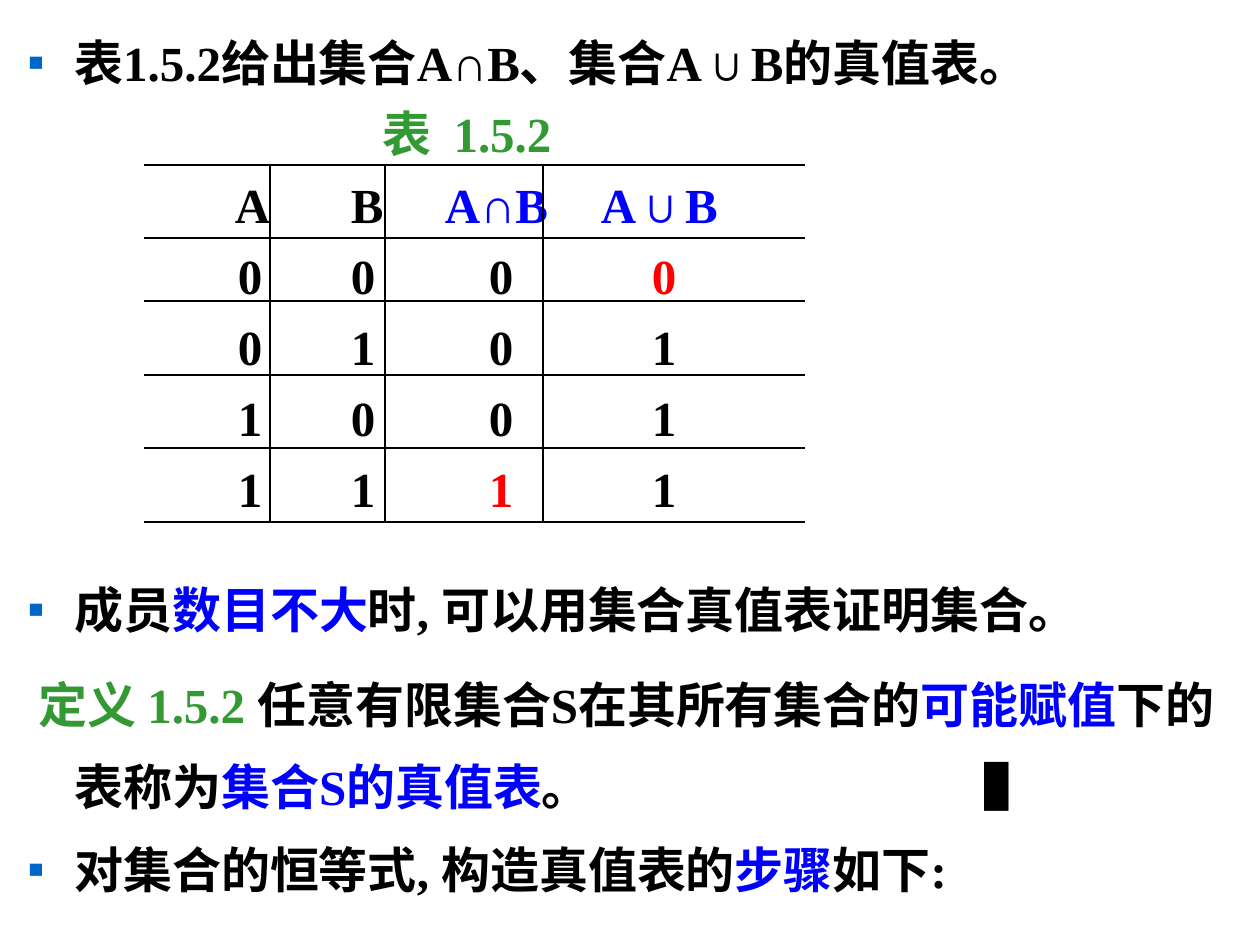
"""Build the slide on truth tables of sets."""
from dataclasses import dataclass

from lxml import etree
from pptx import Presentation
from pptx.dml.color import RGBColor
from pptx.enum.shapes import MSO_CONNECTOR
from pptx.enum.text import MSO_ANCHOR
from pptx.oxml.ns import qn
from pptx.util import Emu, Pt

BOTTOM = MSO_ANCHOR.BOTTOM
STRAIGHT = MSO_CONNECTOR.STRAIGHT
PX = 914400 // 126


@dataclass
class Theme:
    """Colours, font and sizes of the slide."""
    ink: str = "000000"
    key: str = "0000FF"
    mark: str = "FF0000"
    label: str = "339933"
    bullet: str = "0066CC"
    font: str = "Times New Roman"
    symbol: str = "Noto Sans CJK SC"
    size: int = 28
    before: int = 7
    rule: float = 1.5


def px(n):
    """Turn pixels into EMU."""
    return Emu(n * PX)


def child(parent, tag, **attrs):
    """Append an element with attributes and return it."""
    return etree.SubElement(parent, qn(tag), {k: str(v) for k, v in attrs.items()})


class Deck:
    """Draws elements on the current slide in one style."""

    def __init__(self, prs, theme):
        self.theme = theme
        self.s = prs.slides.add_slide(prs.slide_layouts[6])

    def runs(self, p, parts):
        """Add runs given as (text, colour) or (text, colour, font)."""
        for text, color, *font in parts:
            r = p.add_run()
            r.text = text
            r.font.name = font[0] if font else self.theme.font
            r.font.size = Pt(self.theme.size)
            r.font.bold = True
            r.font.color.rgb = RGBColor.from_string(color)

    def layout(self, p, left=0, first=0, bullet=False):
        """Set the indents and the bullet of a paragraph."""
        pPr = p._p.get_or_add_pPr()
        pPr.set("marL", str(px(left)))
        pPr.set("indent", str(px(first)))
        if bullet:
            child(child(pPr, "a:buClr"), "a:srgbClr", val=self.theme.bullet)
            child(pPr, "a:buFont", typeface=self.theme.font)
            child(pPr, "a:buChar", char="▪")
        else:
            child(pPr, "a:buNone")

    def text(self, x, y, w, h, paragraphs):
        """Add a text box of (layout, line spacing, parts) paragraphs."""
        tf = self.s.shapes.add_textbox(px(x), px(y), px(w), px(h)).text_frame
        tf.word_wrap = True
        for i, (layout, spacing, parts) in enumerate(paragraphs):
            p = tf.add_paragraph() if i else tf.paragraphs[0]
            self.layout(p, **layout)
            p.line_spacing = spacing
            if i:
                p.space_before = Pt(self.theme.before)
            self.runs(p, parts)

    def table(self, x, y, widths, height, rows, colors, indents):
        """Add an unfilled table with equal rows and indented values."""
        frame = self.s.shapes.add_table(len(rows), len(widths), px(x), px(y),
                                        px(sum(widths)), px(height * len(rows)))
        table = frame.table
        table.first_row = table.horz_banding = False
        for col, width in zip(table.columns, widths):
            col.width = px(width)
        for i, row in enumerate(rows):
            table.rows[i].height = px(height)
            for j, value in enumerate(row):
                cell = table.cell(i, j)
                cell.margin_left = px(indents[min(i, 1)][j])
                cell.margin_right = cell.margin_top = cell.margin_bottom = 0
                cell.vertical_anchor = BOTTOM
                cell.fill.background()
                color = colors.get((i, j), self.theme.ink)
                self.runs(cell.text_frame.paragraphs[0], [(value, color)])

    def line(self, x1, y1, x2, y2):
        """Draw a straight rule."""
        sp = self.s.shapes.add_connector(STRAIGHT, px(x1), px(y1), px(x2), px(y2))
        sp.line.color.rgb = RGBColor.from_string(self.theme.ink)
        sp.line.width = Pt(self.theme.rule)
        child(sp._element.spPr, "a:effectLst")


def main():
    """Build and save the slide."""
    prs = Presentation()
    prs.slide_width, prs.slide_height = px(1260), px(945)
    t = Theme()
    deck = Deck(prs, t)
    bullet = {"left": 47, "first": -47, "bullet": True}

    deck.text(15, 26, 1226, 71, [
        (bullet, 1.0, [("表1.5.2给出集合A∩B、集合A∪B的真值表。", t.ink)])])
    deck.text(370, 97, 260, 71, [({}, 1.0, [("表  1.5.2", t.label)])])

    pairs = [(a, b) for a in (0, 1) for b in (0, 1)]
    rows = [["A", "B", "A∩B", "A∪B"]]
    rows += [[str(v) for v in (a, b, a & b, a | b)] for a, b in pairs]
    colors = {(0, 2): t.key, (0, 3): t.key, (1, 3): t.mark, (4, 2): t.mark}
    deck.table(144, 163, [127, 115, 166, 253], 71, rows, colors,
               [(91, 80, 59, 49), (94, 80, 103, 100)])

    left, right, top, bottom = 144, 805, 165, 522
    for y in (top, 238, 301, 375, 448, bottom):
        deck.line(left, y, right, y)
    for x in (270, 385, 543):
        deck.line(x, top, x, bottom)

    deck.text(15, 556, 1221, 373, [
        (bullet, 1.3, [("成员", t.ink), ("数目不大", t.key),
                       ("时, 可以用集合真值表证明集合。", t.ink)]),
        ({"left": 47, "first": -36}, 1.4,
         [("定义 1.5.2 ", t.label), ("任意有限集合S在其所有集合的", t.ink),
          ("可能赋值", t.key), ("下的表称为", t.ink),
          ("集合S的真值表", t.key), ("。", t.ink)]),
        (bullet, 1.2, [("对集合的恒等式, 构造真值表的", t.ink),
                       ("步骤", t.key), ("如下:", t.ink)])])
    deck.text(972, 750, 80, 71, [({}, 1.0, [("▌", t.ink, t.symbol)])])
    prs.save("out.pptx")


if __name__ == "__main__":
    main()
